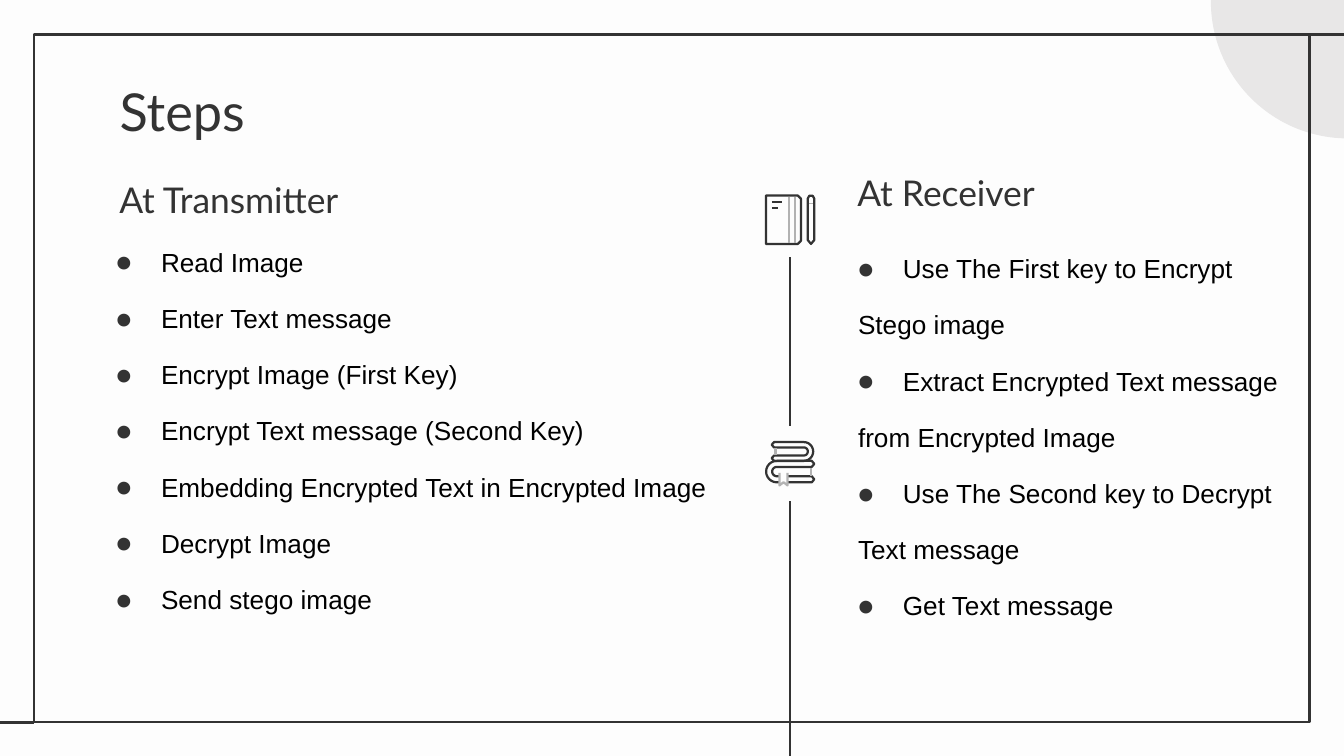
from math import cos, pi, sin

from lxml.etree import SubElement
from pptx import Presentation
from pptx.dml.color import RGBColor
from pptx.enum.shapes import MSO_CONNECTOR, MSO_SHAPE
from pptx.enum.text import MSO_ANCHOR, MSO_AUTO_SIZE, PP_ALIGN
from pptx.oxml.ns import qn
from pptx.util import Pt

COLORS = {
    "paper": RGBColor.from_string("FDFDFD"),
    "ink": RGBColor.from_string("333333"),
    "text": RGBColor.from_string("000000"),
    "gray": RGBColor.from_string("B2B2B2"),
    "circle": RGBColor.from_string("E8E7E7"),
}

HEADING = {"name": "Lato", "size": Pt(19)}
TITLE = {"name": "Lato", "size": Pt(28)}
BODY = {"name": "Arial", "size": Pt(14)}
FRAME = {"word_wrap": True, "auto_size": MSO_AUTO_SIZE.NONE}
MARGINS = ("margin_left", "margin_top", "margin_right", "margin_bottom")

prs = Presentation()
prs.slide_width, prs.slide_height = Pt(720), Pt(405)
slide = prs.slides.add_slide(prs.slide_layouts[5])
slide.background.fill.solid()
slide.background.fill.fore_color.rgb = COLORS["paper"]
shapes = slide.shapes


def paint(shape, fill=None, line=None, width=1.5):
    shape.shadow.inherit = False
    for part, color in ((shape.fill, fill), (shape.line.fill, line)):
        if color:
            part.solid()
            part.fore_color.rgb = COLORS[color]
        else:
            part.background()
    if line:
        shape.line.width = Pt(width)
    return shape


def write(box, lines, anchor, font_format, color, **spacing):
    frame = box.text_frame
    for name, value in {**FRAME, "vertical_anchor": anchor, **dict.fromkeys(MARGINS, Pt(7.2))}.items():
        setattr(frame, name, value)
    for number, line in enumerate(lines):
        paragraph = frame.paragraphs[0] if number == 0 else frame.add_paragraph()
        paragraph.alignment = PP_ALIGN.LEFT
        for name, value in spacing.items():
            if name != "space_before" or number:
                setattr(paragraph, name, value)
        run = paragraph.add_run()
        run.text = line
        run.font.color.rgb = COLORS[color]
        for name, value in font_format.items():
            setattr(run.font, name, value)


circle = shapes.add_shape(MSO_SHAPE.OVAL, Pt(648.7), Pt(-72.7), Pt(146.9), Pt(146.9))
paint(circle, fill="circle")
border = shapes.add_shape(MSO_SHAPE.RECTANGLE, Pt(18.2), Pt(18.4), Pt(683.3), Pt(368.5))
paint(border, line="ink")

title = shapes.title
title.left, title.top, title.width, title.height = Pt(56.9), Pt(35.3), Pt(607), Pt(45.4)
write(title, ["Steps"], MSO_ANCHOR.TOP, TITLE, "ink")

icon_slots = []
for top in (97.4, 228.2):
    slot = shapes.add_shape(MSO_SHAPE.RECTANGLE, Pt(403.2), Pt(top), Pt(40), Pt(40.4))
    icon_slots.append(paint(slot, fill="paper"))
notebook_slot, books_slot = icon_slots

notebook = [(410.4, 104.8), (427.4, 104.8), (429.1, 106.5), (429.1, 129), (427.4, 130.7), (410.4, 130.7)]
pencil = [(432.8, 106.3), (433.6, 104.9), (435.4, 104.9), (436.2, 106.3),
          (436.2, 128.7), (434.5, 130.7), (432.8, 128.7)]

books = []
for spine, tip, middle, outer, inner, side in (
    (430.6, 414.7, 241.9, 5.04, 2.16, 1),
    (416.2, 434.9, 252.7, 5.76, 2.52, -1),
):
    angles = [-pi / 2 + step * pi / 12 for step in range(13)]
    cover, pages = (
        [(spine + side * radius * cos(angle), middle + radius * sin(angle)) for angle in angles]
        for radius in (outer, inner)
    )
    caps = [(tip - side * 1.3, middle + way * (outer + inner) / 2) for way in (1, -1)]
    edges = [(tip, middle + offset) for offset in (outer, inner, -inner, -outer)]
    books.append(cover + [edges[0], caps[0], edges[1]] + pages[::-1] + [edges[2], caps[1], edges[3]])

bookmark = [(417.6, 253.4), (417.6, 260.1), (419.8, 258.4), (421.9, 260.1), (421.9, 253.4)]

for points, color, closed, fill in (
    (notebook, "ink", True, None),
    (pencil, "ink", True, None),
    (books[0], "ink", True, None),
    (books[1], "ink", True, None),
    (bookmark, "gray", False, "paper"),
):
    outline = [(Pt(x), Pt(y)) for x, y in points]
    builder = shapes.build_freeform(*outline[0], scale=1.0)
    builder.add_line_segments(outline[1:], close=closed)
    paint(builder.convert_to_shape(), fill=fill, line=color, width=1.2)

upper_link, lower_link, *_ = [
    (shapes.add_connector(MSO_CONNECTOR.STRAIGHT, *(Pt(value) for value in ends)), color, width)
    for ends, color, width in (
        ((423.2, 137.8, 423.2, 228.2), "ink", 1.5),
        ((423.2, 268.6, 423.2, 405), "ink", 1.5),
        ((0, 386.9, 18.2, 386.9), "ink", 1.5),
        ((701.5, 18.4, 720, 18.4), "ink", 1.5),
        ((422.5, 105.6, 422.5, 130), "gray", 1.2),
        ((425.9, 105.6, 425.9, 130), "gray", 1.2),
        ((433.4, 109, 435.6, 109), "gray", 1),
        ((413.5, 108.4, 418.8, 108.4), "ink", 1.2),
        ((413.5, 111.6, 416.8, 111.6), "ink", 1.2),
        ((415.4, 240.2, 415.4, 243.6), "gray", 1.2),
        ((434.6, 250.6, 434.6, 254.8), "gray", 1.2),
    )
]
upper_link[0].begin_connect(notebook_slot, 2)
upper_link[0].end_connect(books_slot, 0)
lower_link[0].begin_connect(books_slot, 2)
for link, color, width in (upper_link, lower_link, *_):
    link.line.color.rgb = COLORS[color]
    link.line.width = Pt(width)
    SubElement(link._element.spPr, qn("a:effectLst"))

transmitter_steps = [
    "Read Image",
    "Enter Text message",
    "Encrypt Image (First Key)",
    "Encrypt Text message (Second Key)",
    "Embedding Encrypted Text in Encrypted Image",
    "Decrypt Image",
    "Send stego image",
]
receiver_steps = [
    "Use The First key to Encrypt",
    "Stego image",
    "Extract Encrypted Text message",
    "from Encrypted Image",
    "Use The Second key to Decrypt",
    "Text message",
    "Get Text message",
]
continuations = {"Stego image", "from Encrypted Image", "Text message"}

for heading, heading_place, steps, steps_place in (
    ("At Transmitter", (56.9, 90.7, 335.5, 34.6), transmitter_steps, (43.2, 122.2, 362.2, 240)),
    ("At Receiver", (452.2, 90.7, 246.2, 31), receiver_steps, (440.6, 125.6, 279.4, 237.6)),
):
    heading_box = shapes.add_textbox(*(Pt(value) for value in heading_place))
    write(heading_box, [heading], MSO_ANCHOR.BOTTOM, HEADING, "ink", line_spacing=1.15)
    steps_box = shapes.add_textbox(*(Pt(value) for value in steps_place))
    write(steps_box, steps, MSO_ANCHOR.TOP, BODY, "text", line_spacing=1.15, space_before=Pt(10.8))
    for paragraph in steps_box.text_frame.paragraphs:
        properties = paragraph._p.get_or_add_pPr()
        if paragraph.text in continuations:
            properties.set("marL", str(Pt(12)))
            continue
        properties.set("marL", str(Pt(36)))
        properties.set("indent", str(Pt(-24)))
        bullet_color = SubElement(properties, qn("a:buClr"))
        SubElement(bullet_color, qn("a:srgbClr"), val=str(COLORS["ink"]))
        SubElement(properties, qn("a:buFont"), typeface="Lato")
        SubElement(properties, qn("a:buChar"), char="●")

prs.save("out.pptx")
